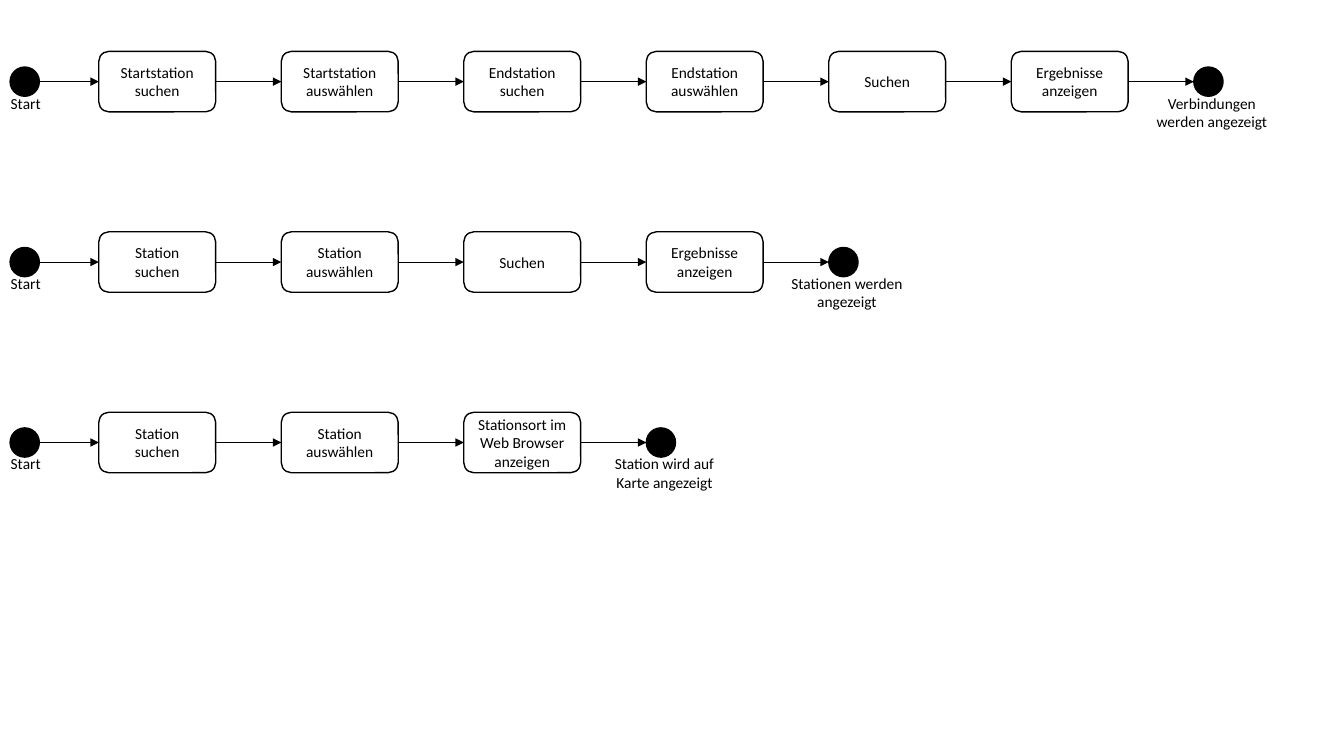
"""Three station-search flows, each a row of steps between a start and an end node."""
from pptx import Presentation, util as u
from pptx.dml.color import RGBColor
from pptx.enum import shapes, text
from pptx.oxml import parse_xml
from pptx.oxml.ns import nsdecls

BLACK = RGBColor(0, 0, 0)
WHITE = RGBColor(255, 255, 255)
FONT = {"name": "Calibri", "size": u.Pt(11)}
COL_0, COL_STEP = 0.98, 1.81
ROW_0, ROW_STEP = 0.81, 1.79
BOX_W, BOX_H, DOT = 1.16, 0.6, 0.29
DOT_X = 0.1

FLOWS = [
    (["Startstation suchen", "Startstation auswählen", "Endstation suchen",
      "Endstation auswählen", "Suchen", "Ergebnisse anzeigen"],
     "Verbindungen werden angezeigt"),
    (["Station suchen", "Station auswählen", "Suchen", "Ergebnisse anzeigen"],
     "Stationen werden angezeigt"),
    (["Station suchen", "Station auswählen", "Stationsort im Web Browser anzeigen"],
     "Station wird auf Karte angezeigt"),
]

prs = Presentation()
prs.slide_width, prs.slide_height = u.Inches(13.33), u.Inches(7.5)
s = prs.slides.add_slide(prs.slide_layouts[6])


def add_node(kind, x, y, w, h, fill):
    sp = s.shapes.add_shape(kind, *map(u.Inches, (x, y - h / 2, w, h)))
    sp.shadow.inherit = False
    sp.fill.solid()
    sp.fill.fore_color.rgb = fill
    sp.line.color.rgb = BLACK
    sp.line.width = u.Pt(1)
    return sp


def write(sp, words, wrap=True):
    tf = sp.text_frame
    tf.word_wrap = wrap
    p = tf.paragraphs[0]
    p.alignment = text.PP_ALIGN.CENTER
    r = p.add_run()
    r.text = words
    for key, value in FONT.items():
        setattr(r.font, key, value)
    r.font.color.rgb = BLACK


for row, (steps, result) in enumerate(FLOWS):
    y = ROW_0 + row * ROW_STEP
    cols = [COL_0 + i * COL_STEP for i in range(len(steps) + 1)]
    end_x = cols[-1]

    for x, step in zip(cols, steps):
        sp = add_node(shapes.MSO_SHAPE.ROUNDED_RECTANGLE, x, y, BOX_W, BOX_H, WHITE)
        sp.text_frame.vertical_anchor = text.MSO_ANCHOR.MIDDLE
        write(sp, step)

    for x in (DOT_X, end_x):
        add_node(shapes.MSO_SHAPE.OVAL, x, y, DOT, DOT, BLACK)

    tails = [DOT_X + DOT] + [x + BOX_W for x in cols[:-1]]
    for tail, head in zip(tails, cols):
        c = s.shapes.add_connector(shapes.MSO_CONNECTOR.STRAIGHT,
                                   *map(u.Inches, (tail, y, head, y)))
        c.line.color.rgb = BLACK
        c.line.width = u.Pt(0.5)
        c.line._get_or_add_ln().append(
            parse_xml(f'<a:tailEnd {nsdecls("a")} type="triangle"/>'))
        c._element.spPr.append(parse_xml(f'<a:effectLst {nsdecls("a")}/>'))

    for words, x, w, h, wrap in (("Start", 0, 0.51, 0.29, False),
                                 (result, end_x - 0.48, 1.32, 0.47, True)):
        write(s.shapes.add_textbox(*map(u.Inches, (x, y + 0.07, w, h))), words, wrap)

prs.save("out.pptx")
